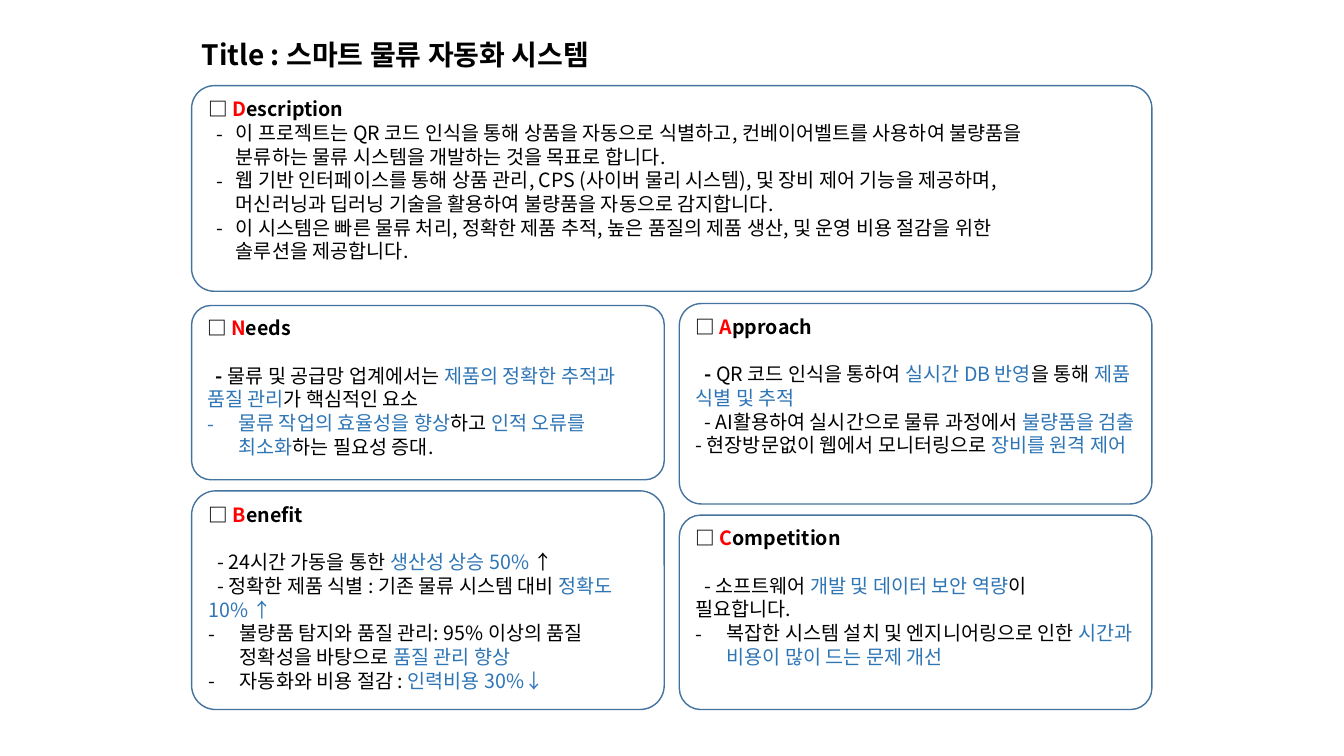
from lxml.etree import SubElement
from pptx import Presentation
from pptx.dml.color import RGBColor
from pptx.enum.shapes import MSO_SHAPE
from pptx.enum.text import MSO_ANCHOR, PP_ALIGN
from pptx.oxml.ns import qn
from pptx.util import Cm, Pt

BLACK = RGBColor(0x00, 0x00, 0x00)
RED = RGBColor(0xFF, 0x00, 0x00)
BLUE = RGBColor(0x2E, 0x75, 0xB6)
OUTLINE = RGBColor(0x43, 0x73, 0x9E)
FONT = "Noto Sans CJK KR"
LINE_HEIGHT = Pt(16.9)

# Paragraph layouts: left margin and first-line indent in cm, hanging dash or not
PLAIN = {"margin": 0, "indent": 0, "dash": False}
STEPPED = {"margin": 0, "indent": 0.22, "dash": False}
BOLD_DASH = {**STEPPED, "lead": "- "}
HANGING = {"margin": 0.79, "indent": -0.79, "dash": True}
INSET = {"margin": 0.7, "indent": -0.5, "dash": True}

# Blue words stand between asterisks; "\n" is a line break
DESCRIPTION = [
    (INSET, "이 프로젝트는 QR 코드 인식을 통해 상품을 자동으로 식별하고, 컨베이어벨트를 사용하여 불량품을\n"
            "분류하는 물류 시스템을 개발하는 것을 목표로 합니다."),
    (INSET, "웹 기반 인터페이스를 통해 상품 관리, CPS (사이버 물리 시스템), 및 장비 제어 기능을 제공하며,\n"
            "머신러닝과 딥러닝 기술을 활용하여 불량품을 자동으로 감지합니다."),
    (INSET, "이 시스템은 빠른 물류 처리, 정확한 제품 추적, 높은 품질의 제품 생산, 및 운영 비용 절감을 위한\n"
            "솔루션을 제공합니다."),
]
NEEDS = [
    (BOLD_DASH, "물류 및 공급망 업계에서는 *제품의 정확한 추적과 품질 관리*가 핵심적인 요소"),
    (HANGING, "*물류 작업의 효율성을 향상*하고 *인적 오류를 최소화*하는 필요성 증대."),
]
BENEFIT = [
    (STEPPED, "- 24시간 가동을 통한 *생산성 상승 50% *↑"),
    (STEPPED, "- 정확한 제품 식별 : 기존 물류 시스템 대비 *정확도 10% ↑*"),
    (HANGING, "불량품 탐지와 품질 관리: 95% 이상의 품질 정확성을 바탕으로 *품질 관리 향상*"),
    (HANGING, "자동화와 비용 절감 : *인력비용 30%↓*"),
]
APPROACH = [
    (BOLD_DASH, "QR 코드 인식을 통하여 *실시간 DB 반영*을 통해 *제품 식별 및 추적*"),
    (STEPPED, "- AI활용하여 실시간으로 물류 과정에서 *불량품을 검출*"),
    (PLAIN, "- 현장방문없이 웹에서 모니터링으로 *장비를 원격 제어*"),
]
COMPETITION = [
    (STEPPED, "- 소프트웨어 *개발 및 데이터 보안 역량*이\n필요합니다."),
    (HANGING, "복잡한 시스템 설치 및 엔지니어링으로 인한 *시간과 비용이 많이 드는 문제 개선*"),
]


def add_words(paragraph, words, color=BLACK, bold=False, size=14):
    run = paragraph.add_run()
    run.text = words
    for name, value in {"size": Pt(size), "bold": bold, "name": FONT}.items():
        setattr(run.font, name, value)
    run.font.color.rgb = color
    SubElement(run.font._element, qn("a:ea")).set("typeface", FONT)


def add_point(frame, layout, text):
    point = frame.add_paragraph()
    for name, value in {"alignment": PP_ALIGN.LEFT, "line_spacing": LINE_HEIGHT}.items():
        setattr(point, name, value)
    properties = point._p.get_or_add_pPr()
    properties.set("marL", str(Cm(layout["margin"])))
    properties.set("indent", str(Cm(layout["indent"])))
    if layout["dash"]:
        SubElement(properties, qn("a:buFont")).set("typeface", FONT)
        SubElement(properties, qn("a:buChar")).set("char", "-")
    if "lead" in layout:
        add_words(point, layout["lead"], bold=True)
    for position, words in enumerate(text.split("*")):
        for row, line in enumerate(words.split("\n")):
            if row:
                point.add_line_break()
            if line:
                add_words(point, line, BLUE if position % 2 else BLACK)


def add_panel(slide, left, top, width, height, heading, points, heading_gap=LINE_HEIGHT):
    # Rounded outline
    panel = slide.shapes.add_shape(
        MSO_SHAPE.ROUNDED_RECTANGLE, Cm(left), Cm(top), Cm(width), Cm(height))
    panel.adjustments[0] = 0.11
    panel.shadow.inherit = False
    panel.fill.background()
    panel.line.color.rgb = OUTLINE
    panel.line.width = Pt(1)

    # Heading with a red initial
    frame = panel.text_frame
    for name, value in {"word_wrap": True, "vertical_anchor": MSO_ANCHOR.TOP}.items():
        setattr(frame, name, value)
    title = frame.paragraphs[0]
    for name, value in {"alignment": PP_ALIGN.LEFT, "line_spacing": LINE_HEIGHT,
                        "space_after": heading_gap}.items():
        setattr(title, name, value)
    for words, color in (("□ ", BLACK), (heading[0], RED), (heading[1:], BLACK)):
        add_words(title, words, color, bold=True)

    # Points
    for layout, text in points:
        add_point(frame, layout, text)


def add_column(slide, left, top, width, height, upper_height, panels, gap=0.28):
    lower_top = top + upper_height + gap
    rows = ((top, upper_height), (lower_top, top + height - lower_top))
    for (row_top, row_height), (heading, points) in zip(rows, panels):
        add_panel(slide, left, row_top, width, row_height, heading, points)


def add_title(slide, left, top, width, height):
    title = slide.shapes.add_textbox(Cm(left), Cm(top), Cm(width), Cm(height))
    frame = title.text_frame
    for name, value in {"word_wrap": True, "vertical_anchor": MSO_ANCHOR.MIDDLE}.items():
        setattr(frame, name, value)
    add_words(frame.paragraphs[0], "Title : 스마트 물류 자동화 시스템", bold=True, size=20)


def main():
    deck = Presentation()
    deck.slide_width, deck.slide_height = Cm(33.87), Cm(19.05)
    slide = deck.slides.add_slide(deck.slide_layouts[6])

    left, width, column_width, bottom = 4.83, 24.2, 11.91, 17.88
    add_title(slide, left, 0.84, width, 1.04)
    add_panel(slide, left, 2.16, width, 5.18, "Description", DESCRIPTION, Pt(0))

    # Two columns, flush with the sides of the description
    columns = (
        (left, 7.7, 4.39, (("Needs", NEEDS), ("Benefit", BENEFIT))),
        (left + width - column_width, 7.65, 5.05,
         (("Approach", APPROACH), ("Competition", COMPETITION))),
    )
    for column_left, top, upper_height, panels in columns:
        add_column(slide, column_left, top, column_width, bottom - top, upper_height, panels)

    deck.save("out.pptx")


if __name__ == "__main__":
    main()
